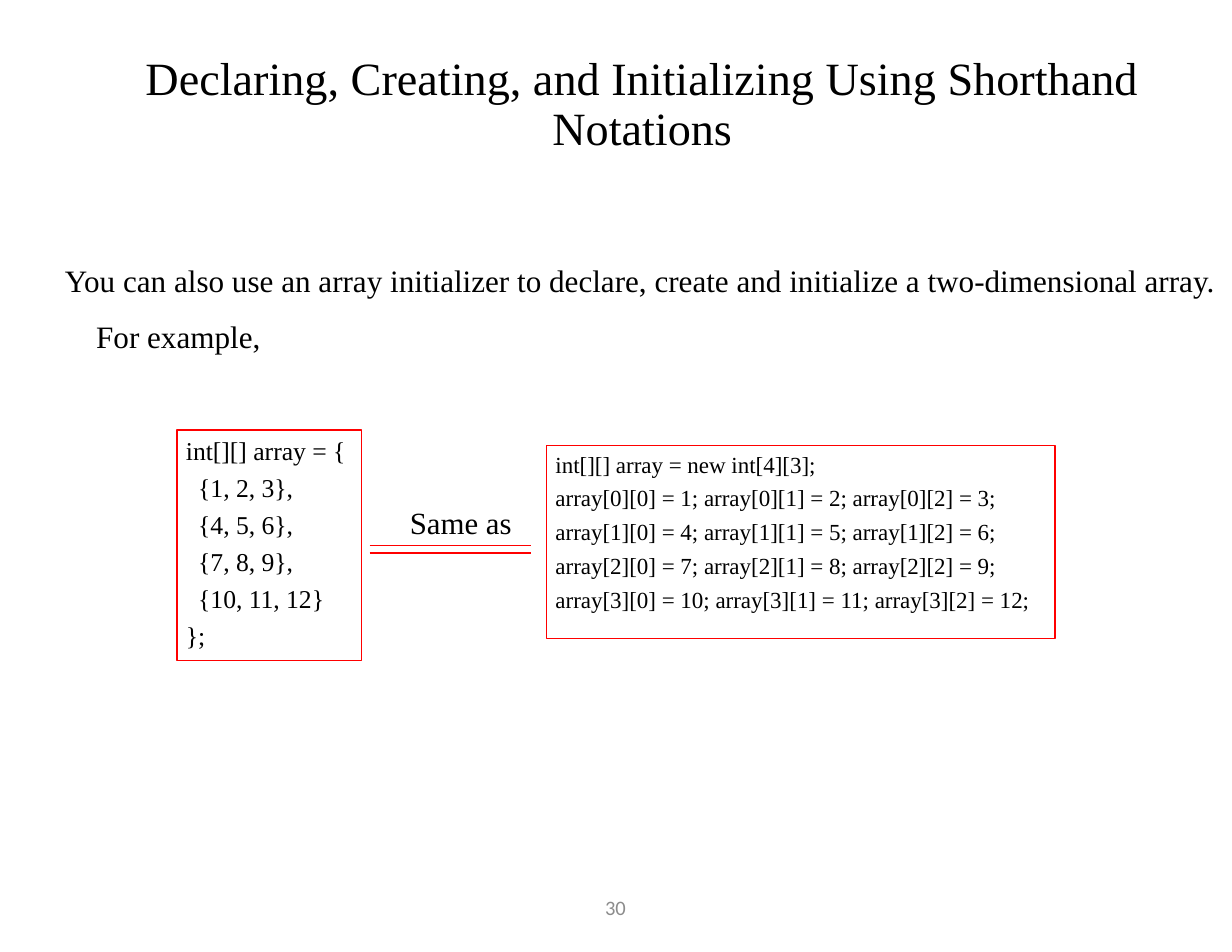
from dataclasses import dataclass, field

from lxml import etree
from pptx import Presentation
from pptx.dml.color import RGBColor
from pptx.enum.shapes import MSO_CONNECTOR, MSO_SHAPE
from pptx.enum.text import MSO_ANCHOR, PP_ALIGN
from pptx.oxml.ns import qn
from pptx.util import Inches, Pt

STRAIGHT = MSO_CONNECTOR.STRAIGHT
RECTANGLE = MSO_SHAPE.RECTANGLE
TOP, MIDDLE = MSO_ANCHOR.TOP, MSO_ANCHOR.MIDDLE
LEFT, CENTER = PP_ALIGN.LEFT, PP_ALIGN.CENTER

COLORS = {"text": "000000", "accent": "FF0000", "number": "8C8C8C"}
SERIF = "Times New Roman"
SANS = "Calibri"
TIGHT = (0.08, 0.04)
LOOSE = (0.1, 0.05)
CODE_INDENT = 0.11


@dataclass
class TextBlock:
    left: float
    top: float
    width: float
    height: float
    lines: list[str]
    size: float
    font: str = SERIF
    color: str = "text"
    anchor: int = TOP
    insets: tuple[float, float] = LOOSE
    hanging: float = 0
    indented: range = range(0)
    outlined: bool = False
    paragraph: dict = field(default_factory=dict)


@dataclass
class Rule:
    left: float
    right: float
    y: float


def rgb(name: str) -> RGBColor:
    return RGBColor.from_string(COLORS[name])


def apply(target, values: dict) -> None:
    for name, value in values.items():
        setattr(target, name, value)


def draw_block(slide, block: TextBlock) -> None:
    bounds = [Inches(v) for v in (block.left, block.top, block.width, block.height)]
    if block.outlined:
        box = slide.shapes.add_shape(RECTANGLE, *bounds)
        box.shadow.inherit = False
        box.fill.background()
        box.line.color.rgb = rgb("accent")
        box.line.width = Pt(0.75)
    else:
        box = slide.shapes.add_textbox(*bounds)
    across, down = (Inches(v) for v in block.insets)
    frame = box.text_frame
    apply(frame, {
        "word_wrap": True, "vertical_anchor": block.anchor,
        "margin_left": across, "margin_right": across,
        "margin_top": down, "margin_bottom": down,
    })
    for index, line in enumerate(block.lines):
        paragraph = frame.paragraphs[0] if index == 0 else frame.add_paragraph()
        apply(paragraph, {"alignment": LEFT, **block.paragraph})
        margin = CODE_INDENT if index in block.indented else block.hanging
        properties = paragraph._p.get_or_add_pPr()
        properties.set("marL", str(Inches(margin)))
        properties.set("indent", str(Inches(-block.hanging)))
        run = paragraph.add_run()
        run.text = line
        apply(run.font, {"name": block.font, "size": Pt(block.size)})
        run.font.color.rgb = rgb(block.color)


def draw_rule(slide, rule: Rule) -> None:
    connector = slide.shapes.add_connector(
        STRAIGHT, Inches(rule.left), Inches(rule.y), Inches(rule.right), Inches(rule.y))
    connector.line.color.rgb = rgb("accent")
    connector.line.width = Pt(1)
    etree.SubElement(connector._element.spPr, qn("a:effectLst"))


def assignments(rows: int, columns: int) -> list[str]:
    return [
        " ".join(f"array[{r}][{c}] = {r * columns + c + 1};" for c in range(columns))
        for r in range(rows)
    ]


BLOCKS = [
    TextBlock(3.64, 7.88, 3.71, 0.45, ["30"], 13.2, font=SANS, color="number",
              anchor=MIDDLE, paragraph={"alignment": CENTER}),
    TextBlock(1, 0.44, 9.47, 1,
              ["Declaring, Creating, and Initializing Using Shorthand Notations"], 29.7,
              anchor=MIDDLE, paragraph={"alignment": CENTER, "line_spacing": 0.9}),
    TextBlock(0.48, 2.12, 10.52, 1.03,
              ["You can also use an array initializer to declare, create and initialize "
               "a two-dimensional array. For example,"], 20, hanging=0.28,
              paragraph={"line_spacing": 1.5, "space_before": Pt(11)}),
    TextBlock(4.88, 3.98, 4.54, 1.72,
              ["int[][] array = new int[4][3];", *assignments(4, 3)], 14.8,
              insets=TIGHT, outlined=True, paragraph={"space_before": Pt(3.9)}),
    TextBlock(1.58, 3.84, 1.65, 2.06,
              ["int[][] array = {", "{1, 2, 3},", "{4, 5, 6},", "{7, 8, 9},",
               "{10, 11, 12}", "};"], 16.5,
              insets=TIGHT, indented=range(1, 5), outlined=True,
              paragraph={"space_before": Pt(4.1)}),
    TextBlock(3.58, 4.46, 1.24, 0.34, ["Same as"], 19.8, insets=TIGHT),
]
EQUALS_RULES = [Rule(3.3, 4.74, y) for y in (4.87, 4.94)]


def main() -> None:
    deck = Presentation()
    apply(deck, {"slide_width": Inches(11), "slide_height": Inches(8.5)})
    slide = deck.slides.add_slide(deck.slide_layouts[6])
    for block in BLOCKS:
        draw_block(slide, block)
    for rule in EQUALS_RULES:
        draw_rule(slide, rule)
    deck.save("out.pptx")


if __name__ == "__main__":
    main()
